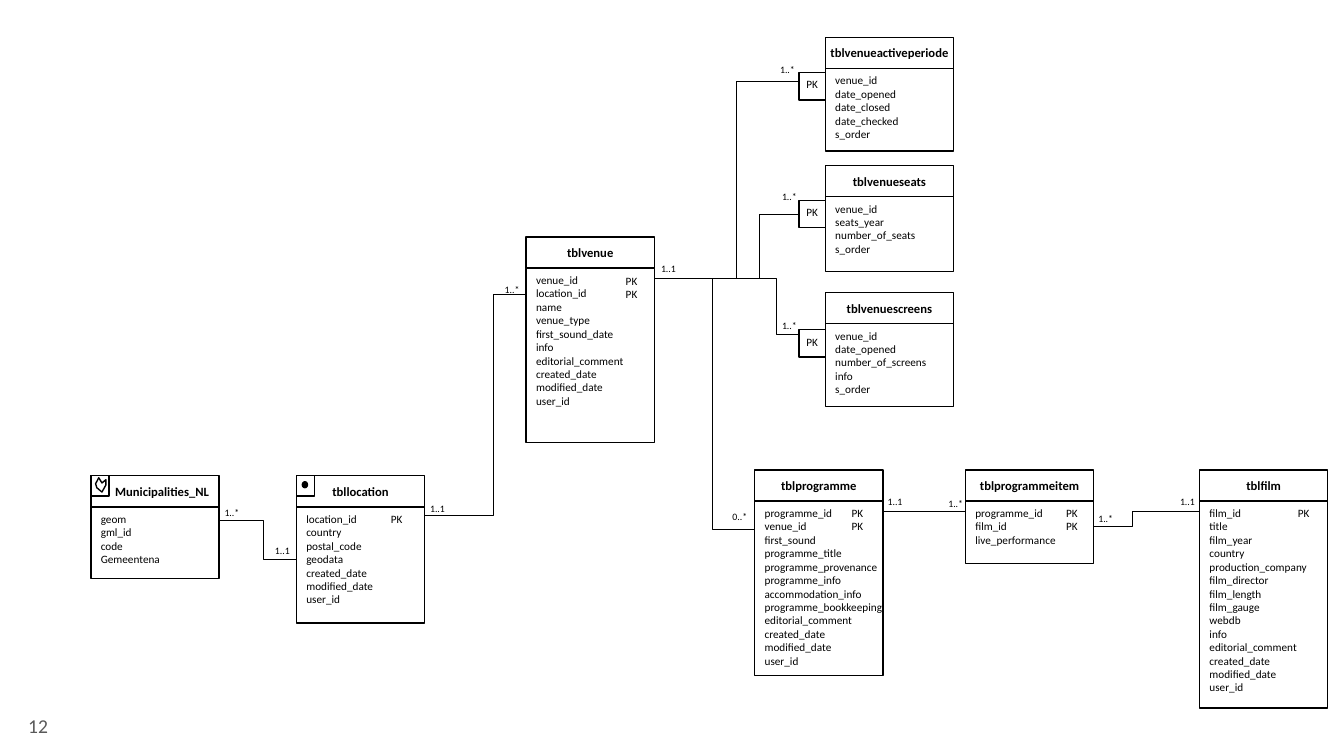
from lxml import etree
from pptx import Presentation
from pptx import util as u
from pptx.dml import color
from pptx.enum import shapes, text
from pptx.oxml import ns

Cm = u.Cm
colour = color.RGBColor.from_string
BLACK, WHITE, GREY = "000000", "FFFFFF", "595959"
TABLE_WIDTH, HEADER_HEIGHT = 3.23, 0.79

presentation = Presentation()
presentation.slide_width = Cm(33.87)
presentation.slide_height = Cm(19.05)
slide = presentation.slides.add_slide(presentation.slide_layouts[6])


def outline(shape, fill=WHITE):
    shape.shadow.inherit = False
    shape.fill.solid()
    shape.fill.fore_color.rgb = colour(fill)
    shape.line.color.rgb = colour(BLACK)
    shape.line.width = u.Pt(1)
    return shape


def write(shape, lines, size, insets=(0.25, 0.13, 0.25, 0.13), bold=False, ink=BLACK,
          align=text.PP_ALIGN.LEFT, anchor=text.MSO_ANCHOR.TOP):
    frame = shape.text_frame
    frame.word_wrap = True
    frame.vertical_anchor = anchor
    frame.margin_left, frame.margin_top, frame.margin_right, frame.margin_bottom = map(Cm, insets)
    for index, line in enumerate(lines):
        paragraph = frame.add_paragraph() if index else frame.paragraphs[0]
        paragraph.alignment = align
        run = paragraph.add_run()
        run.text = line
        run.font.name = "Calibri"
        run.font.size = u.Pt(size)
        run.font.bold = bold
        run.font.color.rgb = colour(ink)


page_number = slide.shapes.add_textbox(Cm(0.71), Cm(17.53), Cm(16.08), Cm(1.52))
write(page_number, ["12"], 14, (0, 0, 0.3, 0), ink=GREY, anchor=text.MSO_ANCHOR.MIDDLE)

relations = [
    (10.69, 13.0, 14.2, 7.42, 12.45),
    (16.33, 7.01, 20.8, 2.06, 18.57),
    (16.33, 7.01, 20.14, 5.41, 19.13),
    (16.33, 7.01, 20.8, 8.43, 19.58),
    (16.33, 7.01, 20.8, 13.34, 17.96),
    (22.25, 12.9, 24.33, 12.9, None),
    (26.9, 13.28, 30.23, 12.9, 28.55),
    (5.49, 13.11, 7.82, 14.1, 6.65),
]
for x1, y1, x2, y2, bend in relations:
    kind = shapes.MSO_CONNECTOR.ELBOW if bend else shapes.MSO_CONNECTOR.STRAIGHT
    connector = slide.shapes.add_connector(kind, Cm(x1), Cm(y1), Cm(x2), Cm(y2))
    connector.line.color.rgb = colour(BLACK)
    connector.line.width = u.Pt(0.75)
    properties = connector._element.spPr
    etree.SubElement(properties, ns.qn("a:effectLst"))
    if bend:
        geometry = properties.find(ns.qn("a:prstGeom"))
        adjustments = geometry.find(ns.qn("a:avLst"))
        share = round((bend - x1) / (x2 - x1) * 100000)
        etree.SubElement(adjustments, ns.qn("a:gd"), name="adj1", fmla=f"val {share}")

tables = [
    ("tbllocation", 7.47, 11.99, 2.92,
     "location_id country postal_code geodata created_date modified_date user_id"),
    ("tblvenueactiveperiode", 20.8, 0.94, 2.08,
     "venue_id date_opened date_closed date_checked s_order"),
    ("tblvenueseats", 20.8, 4.17, 1.88, "venue_id seats_year number_of_seats s_order"),
    ("tblprogramme", 19.02, 11.84, 4.39,
     "programme_id venue_id first_sound programme_title programme_provenance programme_info "
     "accommodation_info programme_bookkeeping editorial_comment created_date modified_date user_id"),
    ("tblvenuescreens", 20.8, 7.37, 2.08,
     "venue_id date_opened number_of_screens info s_order"),
    ("tblfilm", 30.23, 11.84, 5.21,
     "film_id title film_year country production_company film_director film_length film_gauge "
     "webdb info editorial_comment created_date modified_date user_id"),
    ("tblvenue", 13.26, 5.97, 4.39,
     "venue_id location_id name venue_type first_sound_date info editorial_comment "
     "created_date modified_date user_id"),
    ("tblprogrammeitem", 24.33, 11.84, 1.57, "programme_id film_id live_performance"),
    ("Municipalities_NL", 2.29, 11.99, 1.8, "geom gml_id code Gemeentena"),
]
for name, left, top, body_height, fields in tables:
    header = outline(slide.shapes.add_shape(
        shapes.MSO_SHAPE.RECTANGLE, Cm(left), Cm(top), Cm(TABLE_WIDTH), Cm(HEADER_HEIGHT)))
    icon_space = 0.36 if name == "Municipalities_NL" else 0
    write(header, [name], 9, (icon_space, 0.13, 0, 0.13), bold=True,
          align=text.PP_ALIGN.CENTER, anchor=text.MSO_ANCHOR.MIDDLE)
    body = outline(slide.shapes.add_shape(
        shapes.MSO_SHAPE.RECTANGLE, Cm(left), Cm(top + HEADER_HEIGHT),
        Cm(TABLE_WIDTH), Cm(body_height)))
    write(body, fields.split(), 8, (0.25, 0.13, 0, 0.13))

cardinalities = [
    ("1..*", 12.47, 7.01), ("1..1", 10.59, 12.55), ("1..1", 6.68, 13.59),
    ("1..*", 19.41, 1.47), ("1..1", 16.41, 6.48), ("1..*", 5.41, 12.65),
    ("1..*", 19.46, 7.92), ("1..*", 19.46, 4.67), ("0..*", 18.21, 12.73),
    ("1..1", 22.12, 12.37), ("1..*", 23.65, 12.4), ("1..1", 29.49, 12.37),
    ("1..*", 27.43, 12.78),
]
for label, left, top in cardinalities:
    write(slide.shapes.add_textbox(Cm(left), Cm(top), Cm(1.73), Cm(0.56)), [label], 7)

key_columns = [
    (9.6, 12.78, 2.92, 1), (15.52, 6.78, 4.39, 2), (21.21, 12.63, 4.39, 2),
    (26.62, 12.63, 1.3, 2), (32.46, 12.64, 1.3, 1),
]
for left, top, height, count in key_columns:
    write(slide.shapes.add_textbox(Cm(left), Cm(top), Cm(0.86), Cm(height)), ["PK"] * count, 8)

for top in (1.83, 5.05, 8.31):
    key_box = outline(slide.shapes.add_shape(
        shapes.MSO_SHAPE.RECTANGLE, Cm(20.14), Cm(top), Cm(0.66), Cm(0.69)))
    write(key_box, ["PK"], 8, (0, 0.13, 0, 0.13), align=text.PP_ALIGN.CENTER)

for left in (2.29, 7.47):
    outline(slide.shapes.add_shape(
        shapes.MSO_SHAPE.RECTANGLE, Cm(left), Cm(11.99), Cm(0.46), Cm(0.51)))

area_points = [(2.49, 12.04), (2.41, 12.19), (2.44, 12.29), (2.57, 12.4),
               (2.67, 12.22), (2.67, 12.09), (2.57, 12.17)]
corners = [(Cm(x), Cm(y)) for x, y in area_points]
builder = slide.shapes.build_freeform(*corners[0])
builder.add_line_segments(corners[1:], close=True)
outline(builder.convert_to_shape())
outline(slide.shapes.add_shape(
    shapes.MSO_SHAPE.OVAL, Cm(7.62), Cm(12.14), Cm(0.13), Cm(0.15)), BLACK)

presentation.save("out.pptx")
